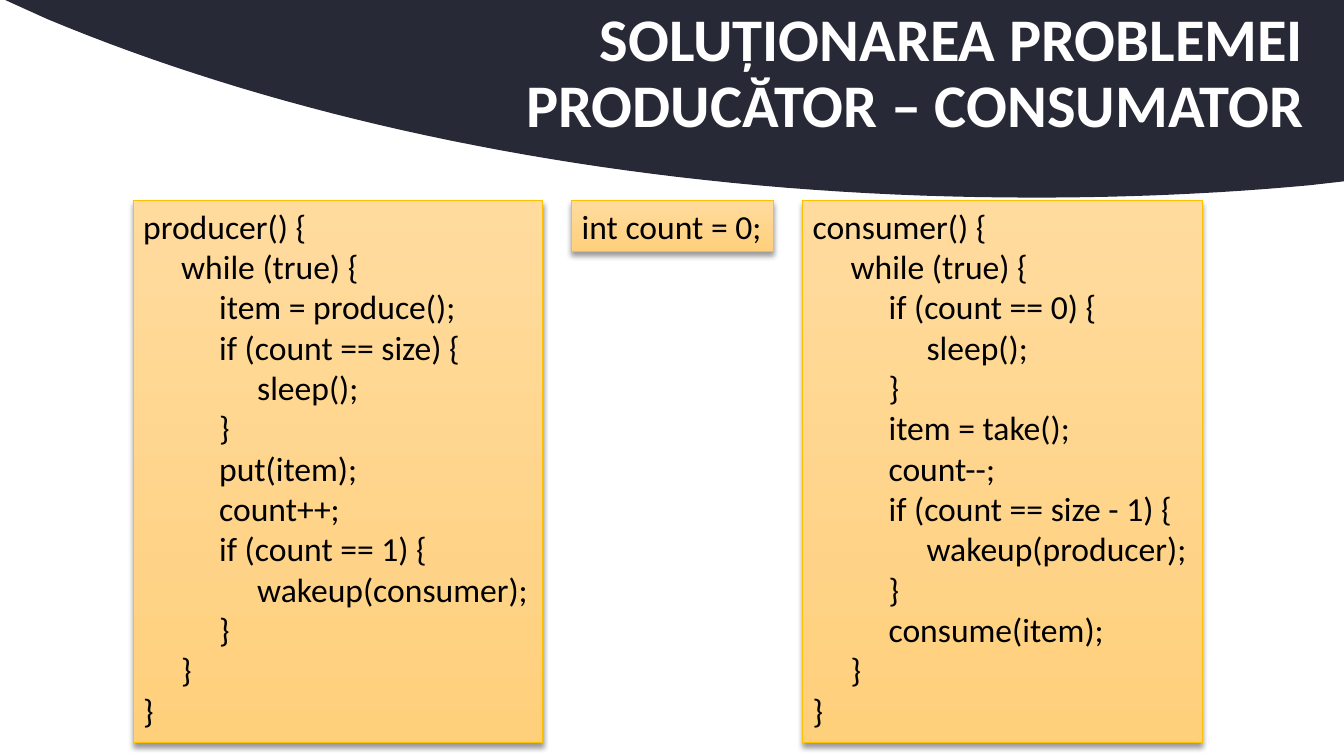
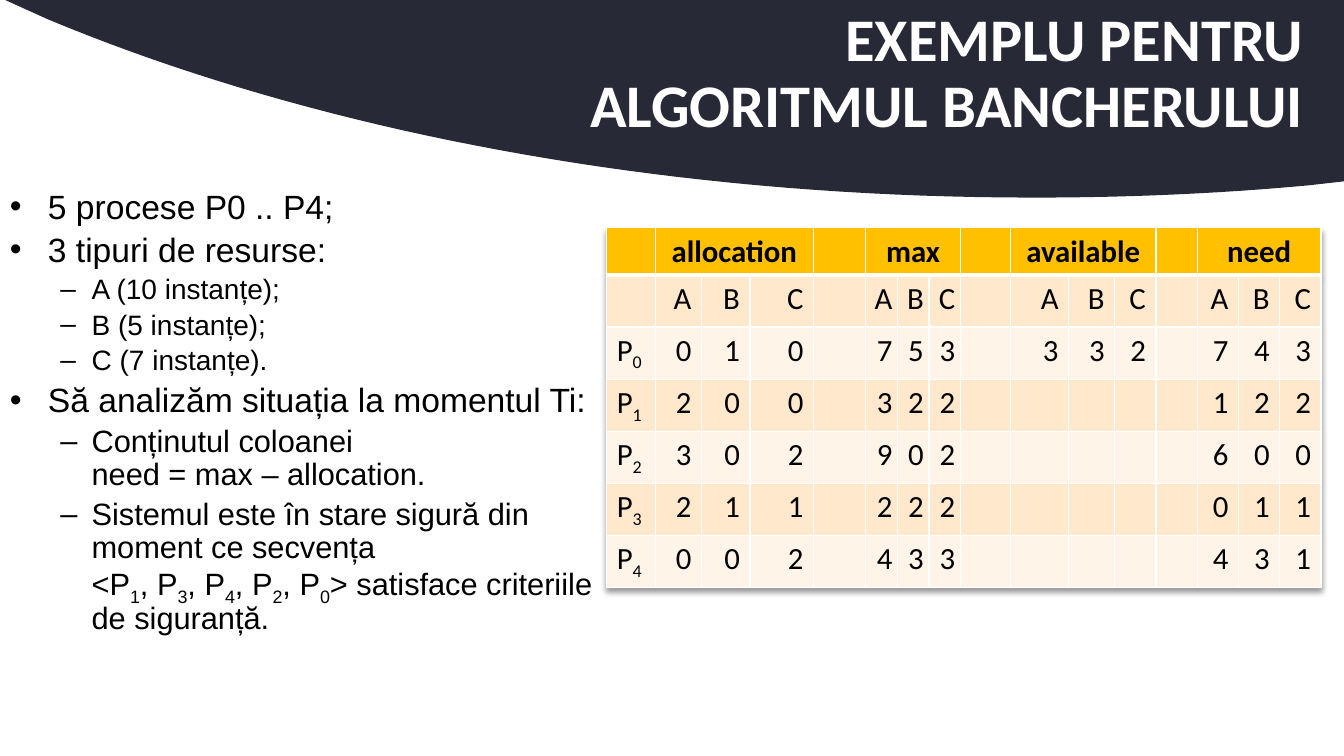
"""Build two slides on classic operating-system synchronisation examples."""
from dataclasses import dataclass

from lxml.etree import SubElement
from pptx import Presentation
from pptx.dml.color import RGBColor
from pptx.enum.shapes import MSO_SHAPE
from pptx.enum.text import MSO_ANCHOR, MSO_AUTO_SIZE, PP_ALIGN
from pptx.oxml import parse_xml
from pptx.oxml.ns import nsdecls, qn
from pptx.util import Cm, Pt


@dataclass(frozen=True)
class Theme:
    """Colours, fonts and type sizes."""
    dark: str = "272936"
    white: str = "FFFFFF"
    black: str = "000000"
    gold: str = "FFC000"
    light: str = "FFDB9E"
    deep: str = "FFD07C"
    bands: tuple = ("FFE8CC", "FFF4E7")
    sans: str = "Calibri"
    body: str = "Arial"
    title: float = 43.2
    code: int = 24
    cell: int = 22


T = Theme()
WIDE, HIGH = 33.87, 19.05

TITLES = (
    "SOLUȚIONAREA PROBLEMEI\nPRODUCĂTOR – CONSUMATOR",
    "EXEMPLU PENTRU\nALGORITMUL BANCHERULUI",
)

PRODUCER = """producer() {
     while (true) {
          item = produce();
          if (count == size) {
               sleep();
          }
          put(item);
          count++;
          if (count == 1) {
               wakeup(consumer);
          }
     }
}"""

CONSUMER = """consumer() {
     while (true) {
          if (count == 0) {
               sleep();
          }
          item = take();
          count--;
          if (count == size - 1) {
               wakeup(producer);
          }
          consume(item);
     }
}"""

CODES = ((PRODUCER, 10.31), ("int count = 0;", 5.08), (CONSUMER, 10.06))

POINTS = (
    (0, 24, "5 procese P0 .. P4;"),
    (0, 24, "3 tipuri de resurse:"),
    (1, 20, "A (10 instanțe);"),
    (1, 20, "B (5 instanțe);"),
    (1, 20, "C (7 instanțe)."),
    (0, 24, "Să analizăm situația la momentul Ti:"),
    (1, 22, "Conținutul coloanei\nneed = max – allocation."),
    (1, 22, "Sistemul este în stare sigură din moment ce secvența\n"
            "<P_1, P_3, P_4, P_2, P_0> satisface criteriile de siguranță."),
)
LEVELS = (("•", 0.96, -0.96), ("–", 2.06, -0.79))

GROUPS = ("allocation", "max", "available", "need")
ROWS = (
    ("", "ABC", "ABC", "ABC", "ABC"),
    ("P_0", "010", "753", "332", "743"),
    ("P_1", "200", "322", "", "122"),
    ("P_2", "302", "902", "", "600"),
    ("P_3", "211", "222", "", "011"),
    ("P_4", "002", "433", "", "431"),
)
COLS = (1.22, 1.17, 1.22, 1.6, 1.32, 0.8, 0.79, 0.79,
        1.27, 1.46, 1.16) + (1.04,) * 5

EDGE = ((0.13, 0), (WIDE, 0), (WIDE, 4.57), (32.99, 4.67))
CURVES = (
    ((32.99, 4.67), (30.73, 4.88), (28.42, 4.98), (26.06, 4.98)),
    ((26.06, 4.98), (16.61, 4.98), (7.95, 3.3), (1.19, 0.48)),
)


def rgb(code):
    """Turn a hex code into a colour."""
    return RGBColor.from_string(code)


def paint(shape, code):
    """Give a shape or cell a solid fill."""
    shape.fill.solid()
    shape.fill.fore_color.rgb = rgb(code)


def cast(effects):
    """Put a soft drop shadow in an effect list."""
    effects.append(parse_xml(
        f'<a:outerShdw {nsdecls("a")} blurRad="50800" dist="38100" '
        f'dir="5400000" algn="t" rotWithShape="0"><a:srgbClr val="{T.black}">'
        '<a:alpha val="40000"/></a:srgbClr></a:outerShdw>'))


def write(para, text, size, font=T.sans, color=T.black, bold=False):
    """Add runs; a newline breaks the line, an underscore lowers one sign."""
    def add(part, low=False):
        if not part:
            return
        run = para.add_run()
        run.text = part
        face = run.font
        face.name, face.size, face.bold = font, Pt(size), bold
        face.color.rgb = rgb(color)
        if low:
            face._element.set("baseline", "-25000")

    for row, line in enumerate(text.split("\n")):
        if row:
            para.add_line_break()
        first, *rest = line.split("_")
        add(first)
        for part in rest:
            add(part[0], True)
            add(part[1:])


def paras(frame, count):
    """Yield the given number of paragraphs of a text frame."""
    yield frame.paragraphs[0]
    for _ in range(count - 1):
        yield frame.add_paragraph()


def box(slide, left, top, width, height):
    """Add a wrapping text box and return its frame."""
    frame = slide.shapes.add_textbox(
        Cm(left), Cm(top), Cm(width), Cm(height)).text_frame
    frame.word_wrap = True
    return frame


def curve(ends, steps=40):
    """Sample a cubic curve."""
    for step in range(1, steps + 1):
        t = step / steps
        parts = ((1 - t) ** 3, 3 * t * (1 - t) ** 2, 3 * t * t * (1 - t), t ** 3)
        yield tuple(sum(p * end[axis] for p, end in zip(parts, ends))
                    for axis in (0, 1))


def start(deck, title):
    """Add a slide with the dark band and its title."""
    slide = deck.slides.add_slide(deck.slide_layouts[6])
    dots = list(EDGE)
    for ends in CURVES:
        dots.extend(curve(ends))
    dots = [(Cm(x), Cm(y)) for x, y in dots]
    pen = slide.shapes.build_freeform(*dots[0])
    pen.add_line_segments(dots[1:], close=True)
    band = pen.convert_to_shape()
    paint(band, T.dark)
    band.line.fill.background()
    band.shadow.inherit = False

    frame = box(slide, 2.34, 0.05, WIDE - 2.34, 3.68)
    frame.vertical_anchor = MSO_ANCHOR.MIDDLE
    frame.margin_right = Cm(1.02)
    para = frame.paragraphs[0]
    para.alignment, para.line_spacing = PP_ALIGN.RIGHT, 0.9
    write(para, title, T.title, color=T.white, bold=True)
    return slide


def listing(slide, text, left, width):
    """Add a box of code sized by its lines."""
    lines = text.split("\n")
    panel = slide.shapes.add_shape(
        MSO_SHAPE.RECTANGLE, Cm(left), Cm(5.06),
        Cm(width), Cm(0.25 + 1.03 * len(lines)))
    panel.fill.gradient()
    panel.fill.gradient_angle = 270
    for stop, code in zip(panel.fill.gradient_stops, (T.light, T.deep)):
        stop.color.rgb = rgb(code)
    panel.line.color.rgb = rgb(T.gold)
    panel.line.width = Pt(0.5)
    panel.shadow.inherit = False
    cast(panel._element.spPr.find(qn("a:effectLst")))
    frame = panel.text_frame
    frame.word_wrap = False
    frame.auto_size = MSO_AUTO_SIZE.SHAPE_TO_FIT_TEXT
    frame.vertical_anchor = MSO_ANCHOR.TOP
    for para, line in zip(paras(frame, len(lines)), lines):
        para.alignment = PP_ALIGN.LEFT
        write(para, line, T.code)


def bullets(slide):
    """Add the list of points."""
    frame = box(slide, 0, 4.67, 15.29, 13.97)
    for row, para in enumerate(paras(frame, len(POINTS))):
        level, size, text = POINTS[row]
        sign, left, hang = LEVELS[level]
        para.level, para.line_spacing = level, 0.9
        if row:
            para.space_before = Pt(size * 0.2)
        props = para._p.get_or_add_pPr()
        props.set("marL", str(Cm(left)))
        props.set("indent", str(Cm(hang)))
        SubElement(props, qn("a:buFont")).set("typeface", T.body)
        SubElement(props, qn("a:buChar")).set("char", sign)
        write(para, text, size, T.body)


def rule(cell, row):
    """Draw white cell borders, heavy below the header."""
    props = cell._tc.get_or_add_tcPr()
    heavy = {0: "B", 1: "T"}.get(row)
    for spot, side in enumerate("LRTB"):
        width = Pt(3 if side == heavy else 1)
        props.insert(spot, parse_xml(
            f'<a:ln{side} {nsdecls("a")} w="{width}"><a:solidFill>'
            f'<a:srgbClr val="{T.white}"/></a:solidFill></a:ln{side}>'))


def grid(slide):
    """Add the table of resources."""
    tall = [1.19] + [1.31] * len(ROWS)
    table = slide.shapes.add_table(
        len(tall), len(COLS), Cm(15.29), Cm(5.74),
        Cm(sum(COLS)), Cm(sum(tall))).table
    props = table._tbl.tblPr
    effects = parse_xml(f'<a:effectLst {nsdecls("a")}/>')
    cast(effects)
    props.insert(0, effects)
    for col, width in zip(table.columns, COLS):
        col.width = Cm(width)
    for row, height in enumerate(tall):
        table.rows[row].height = Cm(height)
        for col in range(len(COLS)):
            cell = table.cell(row, col)
            paint(cell, T.bands[(row - 1) % 2] if row else T.gold)
            rule(cell, row)

    def fill(row, col, text, side, bold=False):
        para = table.cell(row, col).text_frame.paragraphs[0]
        para.alignment = side
        write(para, text, T.cell, bold=bold)

    for group, name in enumerate(GROUPS):
        col = 1 + 4 * group
        table.cell(0, col).merge(table.cell(0, col + 2))
        fill(0, col, name, PP_ALIGN.CENTER, True)
    for row, (label, *sets) in enumerate(ROWS, 1):
        fill(row, 0, label, PP_ALIGN.LEFT)
        for group, marks in enumerate(sets):
            for step, mark in enumerate(marks):
                col = 1 + 4 * group + step
                if COLS[col] < 1:
                    cell = table.cell(row, col)
                    cell.margin_left = cell.margin_right = Cm(0.13)
                fill(row, col, mark, PP_ALIGN.RIGHT)


def main():
    """Build and save the deck."""
    deck = Presentation()
    deck.slide_width, deck.slide_height = Cm(WIDE), Cm(HIGH)
    first, second = [start(deck, title) for title in TITLES]
    left = 3.36
    for text, width in CODES:
        listing(first, text, left, width)
        left += width + 0.74
    bullets(second)
    grid(second)
    deck.save("out.pptx")


if __name__ == "__main__":
    main()
